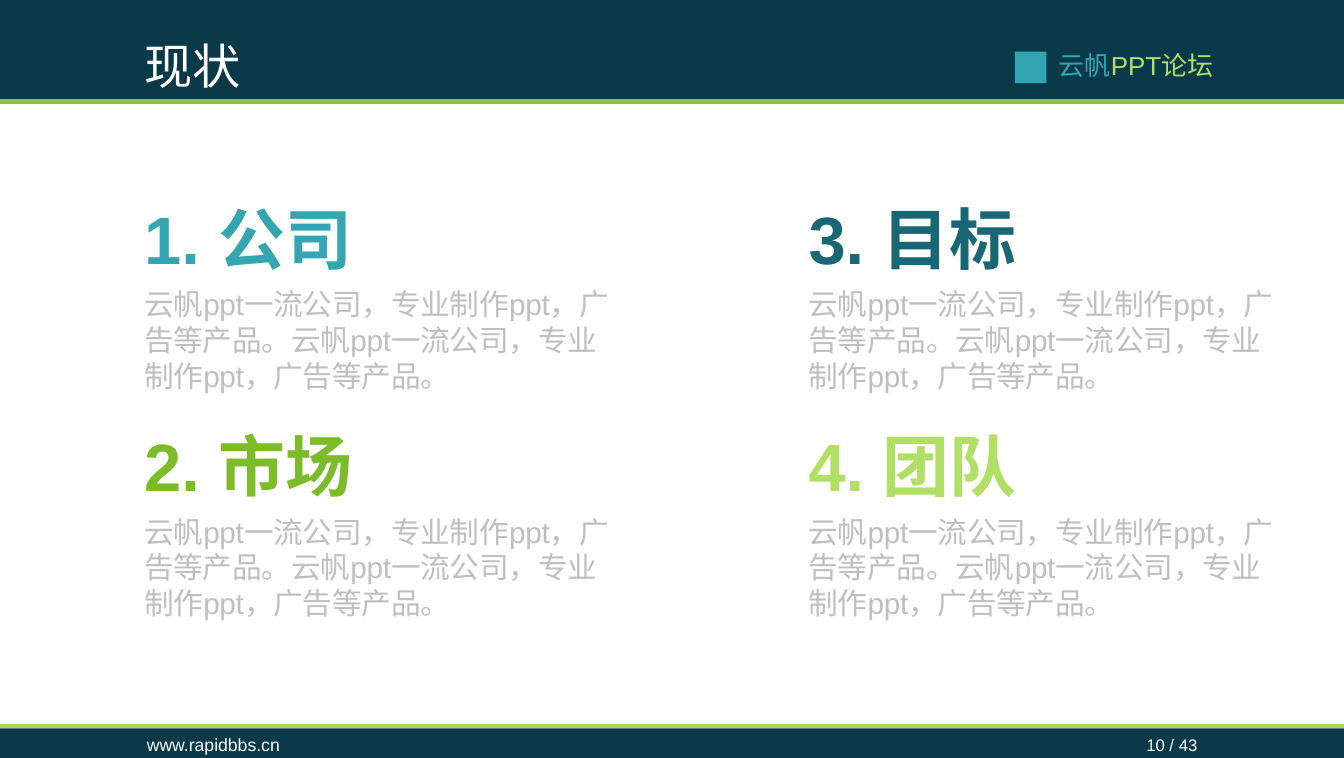
from dataclasses import dataclass

from lxml import etree
from pptx import Presentation
from pptx.dml.color import RGBColor
from pptx.enum.shapes import MSO_CONNECTOR, MSO_SHAPE
from pptx.enum.text import MSO_ANCHOR, MSO_AUTO_SIZE, PP_ALIGN
from pptx.oxml.ns import qn
from pptx.util import Cm, Pt

RECT = MSO_SHAPE.RECTANGLE
LINE = MSO_CONNECTOR.STRAIGHT
GROW = MSO_AUTO_SIZE.SHAPE_TO_FIT_TEXT
TOP = MSO_ANCHOR.TOP
LEFT, MID = PP_ALIGN.LEFT, PP_ALIGN.CENTER

WIDE, HIGH = 25.53, 14.4
NAVY, TEAL, LIME, WHITE, GREY = "0A3A4A", "33A6B2", "B1DE64", "FFFFFF", "BFBFBF"
BODY = "云帆ppt一流公司，专业制作ppt，广告等产品。云帆ppt一流公司，专业制作ppt，广告等产品。"


@dataclass
class Box:
    left: float
    top: float
    width: float
    height: float

    def size(self) -> tuple:
        return Cm(self.left), Cm(self.top), Cm(self.width), Cm(self.height)


@dataclass
class Run:
    text: str
    size: float
    color: str
    bold: bool = False
    space: int = 0


@dataclass
class Topic:
    head: str
    color: str


TOPICS = [
    Topic("1. 公司", TEAL),
    Topic("2. 市场", "7BBC28"),
    Topic("3. 目标", "196674"),
    Topic("4. 团队", LIME),
]


def paint(fmt, color: str) -> None:
    fmt.rgb = RGBColor.from_string(color)


def block(slide, box: Box, color: str) -> None:
    shape = slide.shapes.add_shape(RECT, *box.size())
    shape.shadow.inherit = False
    shape.fill.solid()
    paint(shape.fill.fore_color, color)
    shape.line.fill.background()


def rule(slide, top: float, color: str) -> None:
    line = slide.shapes.add_connector(LINE, 0, Cm(top), Cm(WIDE), Cm(top))
    paint(line.line.color, color)
    line.line.width = Pt(2.5)
    etree.SubElement(line.element.spPr, qn("a:effectLst"))


def write(shape, runs: list[Run], align=LEFT) -> None:
    frame = shape.text_frame
    frame.word_wrap = True
    frame.auto_size = GROW
    frame.vertical_anchor = TOP
    para = frame.paragraphs[0]
    para.alignment = align
    for item in runs:
        run = para.add_run()
        run.text = item.text
        run.font.name = "Arial"
        run.font.size = Pt(item.size)
        run.font.bold = item.bold
        paint(run.font.color, item.color)
        if item.space:
            run.font._element.set("spc", str(item.space))


def label(slide, box: Box, runs: list[Run], align=LEFT) -> None:
    write(slide.shapes.add_textbox(*box.size()), runs, align)


def head(slide) -> None:
    block(slide, Box(0, 0, WIDE, 1.92), NAVY)
    block(slide, Box(19.28, 0.98, 0.6, 0.6), TEAL)
    title = slide.shapes.title
    title.left, title.top, title.width, title.height = Box(2.49, 0.56, 8.92, 1.37).size()
    write(title, [Run("现状", 26, WHITE)])
    title.element.getparent().append(title.element)
    label(slide, Box(19.86, 0.81, 4.85, 0.86),
          [Run("云帆", 14, TEAL), Run("PPT论坛", 14, LIME)])
    rule(slide, 1.93, "88C33A")


def foot(slide) -> None:
    block(slide, Box(0, 13.84, WIDE, HIGH - 13.84), NAVY)
    rule(slide, 13.79, "A7D75B")
    label(slide, Box(21.5, 13.84, 1.52, 0.64), [Run("10 / 43", 9, WHITE)], MID)
    label(slide, Box(2.54, 13.82, 3.78, 0.66), [Run("www.rapidbbs.cn", 9.5, WHITE)])


def grid(slide) -> None:
    for i, topic in enumerate(TOPICS):
        col, row = divmod(i, 2)
        left, top = 2.49 + 12.62 * col, 3.63 + 4.32 * row
        label(slide, Box(left, top, 9.88, 1.8), [Run(topic.head, 36, topic.color, True)])
        label(slide, Box(left, top + 1.68, 9.5, 2.31), [Run(BODY, 16, GREY, space=-10)])


def main() -> None:
    """Build the status slide with its four topics."""
    deck = Presentation()
    deck.slide_width, deck.slide_height = Cm(WIDE), Cm(HIGH)
    slide = deck.slides.add_slide(deck.slide_layouts[5])
    head(slide)
    foot(slide)
    grid(slide)
    deck.save("out.pptx")


if __name__ == "__main__":
    main()
